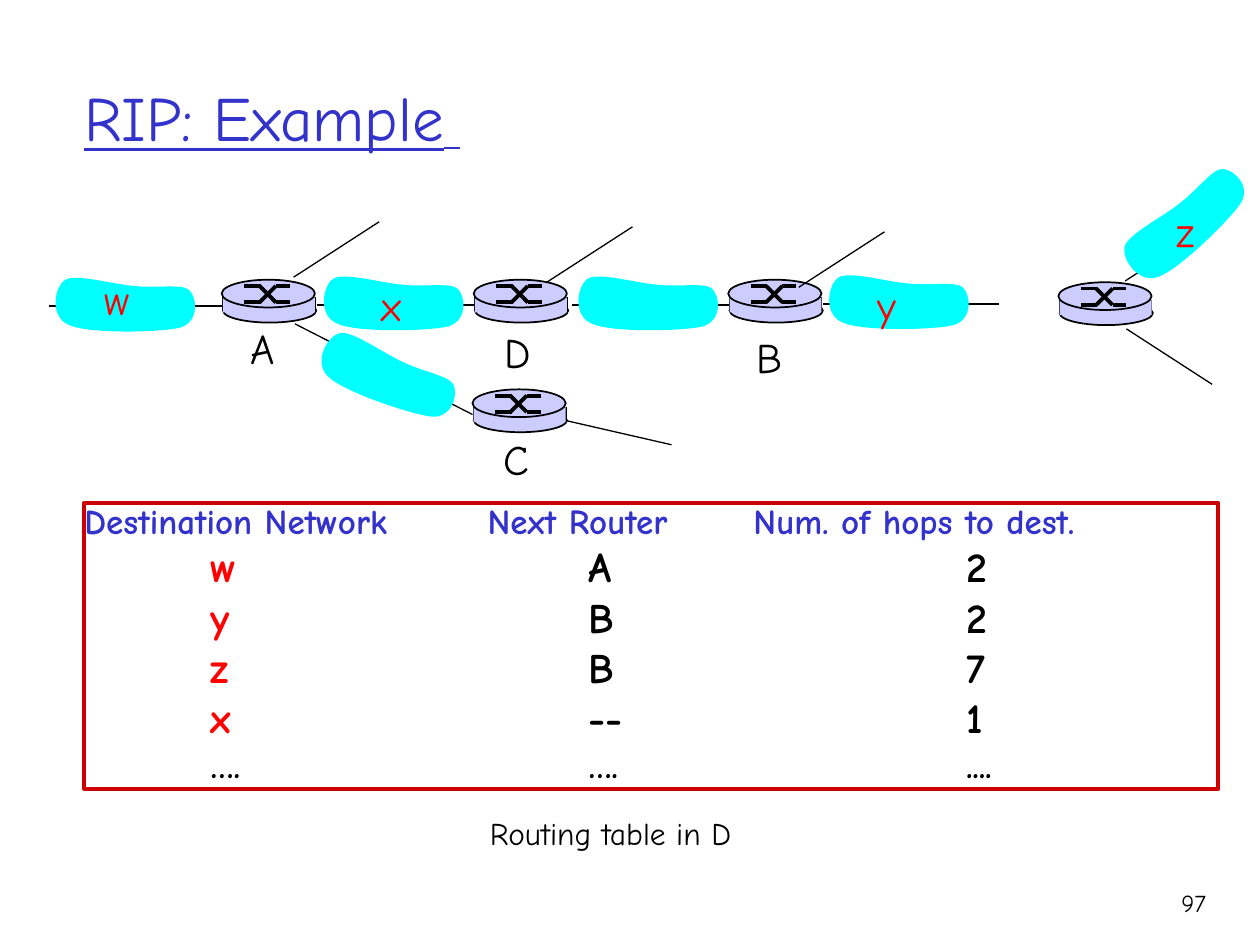
from dataclasses import dataclass

from pptx import Presentation
from pptx.dml.color import RGBColor
from pptx.enum.shapes import MSO_CONNECTOR, MSO_SHAPE
from pptx.enum.text import MSO_ANCHOR, PP_ALIGN
from pptx.oxml.xmlchemy import OxmlElement
from pptx.util import Inches, Pt


@dataclass(frozen=True)
class Theme:
    font: str = "Comic Neue"
    heading: str = "3333CC"
    accent: str = "FF0000"
    frame: str = "CC0000"
    ink: str = "000000"
    router: str = "CCCCFF"
    network: str = "00FFFF"
    title_size: int = 36
    title_tail_size: int = 28
    label_size: int = 24
    header_size: int = 20
    caption_size: int = 18
    number_size: int = 14
    thin: float = 0.75
    outline: float = 1
    bold: float = 2.25


THEME = Theme()

HEADERS = ["Destination Network", "Next Router", "Num. of hops to dest."]
ROUTES = [
    ("w", "A", "2"),
    ("y", "B", "2"),
    ("z", "B", "7"),
    ("x", "--", "1"),
    ("….", "….", "...."),
]
TABLE_BOX = (0.67, 3.99, 9, 2.27)
COLUMN_STARTS = [0, 3.2, 5.31]
VALUE_STARTS = [1, 4, 7]

# left, top
ROUTERS = [(3.76, 2.22), (1.76, 2.22), (3.75, 3.09), (5.78, 2.22), (8.4, 2.24)]
# left, top, rotation
NETWORKS = [
    (2.52, 2.16, 0), (2.48, 2.74, 19.7), (0.39, 2.17, 0),
    (4.54, 2.16, 0), (6.53, 2.15, 0), (8.8, 1.53, 316.8),
]
# left, y of the links along the backbone
BACKBONE = [(2.52, 2.42), (4.54, 2.42), (0.39, 2.43), (6.53, 2.41)]
BACKBONE_LENGTH = 1.4
# start, end of the slanted links
SPOKES = [
    ((2.33, 2.2), (3.01, 1.76)), ((4.34, 2.24), (5.02, 1.8)),
    ((6.34, 2.28), (7.02, 1.84)), ((8.93, 2.23), (9.61, 1.79)),
    ((8.94, 2.61), (9.62, 3.05)), ((2.34, 2.57), (3.75, 3.29)),
    ((4.5, 3.34), (5.33, 3.53)),
]
NETWORK_LABELS = [
    ("w", 0.73, 2.12), ("x", 2.93, 2.17), ("y", 6.87, 2.17), ("z", 9.24, 1.58),
]
ROUTER_LABELS = [
    ("A", 1.89, 2.51), ("C", 3.9, 3.39), ("D", 3.91, 2.54), ("B", 5.91, 2.58),
]

# Start point, then three Bezier points for each curve
NETWORK_START = (0.68, 0.1)
NETWORK_CURVES = [
    (0.52, 0.09), (0.22, 0), (0.13, 0.05),
    (0.04, 0.1), (0, 0.35), (0.16, 0.41),
    (0.31, 0.48), (0.88, 0.47), (1.04, 0.43),
    (1.2, 0.38), (1.17, 0.18), (1.11, 0.13),
    (1.05, 0.08), (0.84, 0.12), NETWORK_START,
]
# Switch symbol on a router, relative to its top left corner
SWITCH_STROKES = [
    ((0.18, 0.05), (0.31, 0.05)), ((0.43, 0.18), (0.54, 0.18)),
    ((0.3, 0.05), (0.43, 0.18)), ((0.18, 0.18), (0.31, 0.18)),
    ((0.43, 0.05), (0.54, 0.05)), ((0.3, 0.18), (0.43, 0.05)),
]


def color(value):
    return RGBColor.from_string(value)


def style_span(span, size, ink, bold=False, underline=False):
    font = span.font
    font.name, font.size, font.bold, font.underline = THEME.font, Pt(size), bold, underline
    font.color.rgb = color(ink)


def add_line(shapes, start, end, width):
    line = shapes.add_connector(MSO_CONNECTOR.STRAIGHT, *map(Inches, (*start, *end)))
    line.line.color.rgb = color(THEME.ink)
    line.line.width = Pt(width)
    line.element.xpath("p:spPr")[0].append(OxmlElement("a:effectLst"))


def add_solid(shapes, kind, area, outlined):
    shape = shapes.add_shape(kind, *map(Inches, area))
    shape.shadow.inherit = False
    shape.fill.solid()
    shape.fill.fore_color.rgb = color(THEME.router)
    if outlined:
        shape.line.color.rgb = color(THEME.ink)
        shape.line.width = Pt(THEME.outline)
    else:
        shape.line.fill.background()


def add_router(page, left, top):
    shapes = page.shapes.add_group_shape().shapes
    add_solid(shapes, MSO_SHAPE.OVAL, (left + 0.01, top + 0.15, 0.74, 0.19), True)
    for x in (left + 0.01, left + 0.74):
        add_line(shapes, (x, top + 0.14), (x, top + 0.25), THEME.outline)
    add_solid(shapes, MSO_SHAPE.RECTANGLE, (left + 0.01, top + 0.14, 0.73, 0.12), False)
    add_solid(shapes, MSO_SHAPE.OVAL, (left, top, 0.74, 0.22), True)
    for stroke in SWITCH_STROKES:
        start, end = [(left + x, top + y) for x, y in stroke]
        add_line(shapes, start, end, THEME.bold)


def add_network(page, left, top, rotation):
    """Draw the control polygon, then turn each three segments into one curve."""
    builder = page.shapes.build_freeform(*map(Inches, NETWORK_START))
    builder.add_line_segments([tuple(map(Inches, point)) for point in NETWORK_CURVES])
    shape = builder.convert_to_shape(Inches(left), Inches(top))
    segments = shape.element.xpath(".//a:lnTo")[:len(NETWORK_CURVES)]
    for index in range(0, len(segments), 3):
        curve = OxmlElement("a:cubicBezTo")
        segments[index].addprevious(curve)
        for segment in segments[index:index + 3]:
            curve.append(segment[0])
            segment.getparent().remove(segment)
    shape.left, shape.top, shape.rotation = Inches(left), Inches(top), rotation
    shape.shadow.inherit = False
    shape.fill.solid()
    shape.fill.fore_color.rgb = color(THEME.network)
    shape.line.fill.background()


def add_text(page, text, area, size, ink, align=PP_ALIGN.LEFT, wrap=False):
    box = page.shapes.add_textbox(*map(Inches, area))
    frame = box.text_frame
    frame.text = text
    frame.word_wrap = wrap
    paragraph = frame.paragraphs[0]
    paragraph.alignment = align
    style_span(paragraph.runs[0], size, ink)
    return frame


def add_title(page):
    frame = add_text(page, "RIP: Example", (0.57, 0.3, 8.5, 1.25),
                     THEME.title_size, THEME.heading, wrap=True)
    frame.vertical_anchor = MSO_ANCHOR.MIDDLE
    paragraph = frame.paragraphs[0]
    paragraph.runs[0].font.underline = True
    tail = paragraph.add_run()
    tail.text = " "
    style_span(tail, THEME.title_tail_size, THEME.heading, underline=True)


def add_routing_table(page):
    rows = [HEADERS, *ROUTES]
    area = [Inches(length) for length in TABLE_BOX]
    table = page.shapes.add_table(len(rows), len(HEADERS), *area).table
    table.first_row = table.horz_banding = False
    ends = [*COLUMN_STARTS[1:], TABLE_BOX[2]]
    for column, start, end in zip(table.columns, COLUMN_STARTS, ends):
        column.width = Inches(end - start)
    for r, values in enumerate(rows):
        small = r in (0, len(rows) - 1)
        table.rows[r].height = Inches(0.33 if small else 0.4)
        for c, value in enumerate(values):
            cell = table.cell(r, c)
            cell.fill.background()
            cell.margin_top = cell.margin_bottom = cell.margin_right = 0
            cell.margin_left = Inches(VALUE_STARTS[c] - COLUMN_STARTS[c] if r else 0)
            cell.text_frame.text = value
            ink = THEME.heading if r == 0 else THEME.accent if c == 0 and not small else THEME.ink
            size = THEME.header_size if small else THEME.label_size
            style_span(cell.text_frame.paragraphs[0].runs[0], size, ink, bold=True)
    frame = page.shapes.add_shape(MSO_SHAPE.RECTANGLE, *area)
    frame.shadow.inherit = False
    frame.fill.background()
    frame.line.color.rgb = color(THEME.frame)
    frame.line.width = Pt(THEME.bold)


def main():
    deck = Presentation()
    deck.slide_width, deck.slide_height = Inches(10), Inches(7.5)
    page = deck.slides.add_slide(deck.slide_layouts[6])
    add_title(page)
    add_routing_table(page)
    for left, y in BACKBONE:
        add_line(page.shapes, (left, y), (left + BACKBONE_LENGTH, y), THEME.outline)
    for router in ROUTERS:
        add_router(page, *router)
    for start, end in SPOKES:
        add_line(page.shapes, start, end, THEME.thin)
    for network in NETWORKS:
        add_network(page, *network)
    for labels, ink in ((NETWORK_LABELS, THEME.accent), (ROUTER_LABELS, THEME.ink)):
        for text, left, top in labels:
            add_text(page, text, (left, top, 0.4, 0.5), THEME.label_size, ink)
    add_text(page, "Routing table in D", (3.79, 6.41, 2.12, 0.4), THEME.caption_size, THEME.ink)
    add_text(page, "97", (8.93, 7, 0.74, 0.5), THEME.number_size, THEME.ink,
             PP_ALIGN.RIGHT, wrap=True)
    deck.save("out.pptx")


if __name__ == "__main__":
    main()
